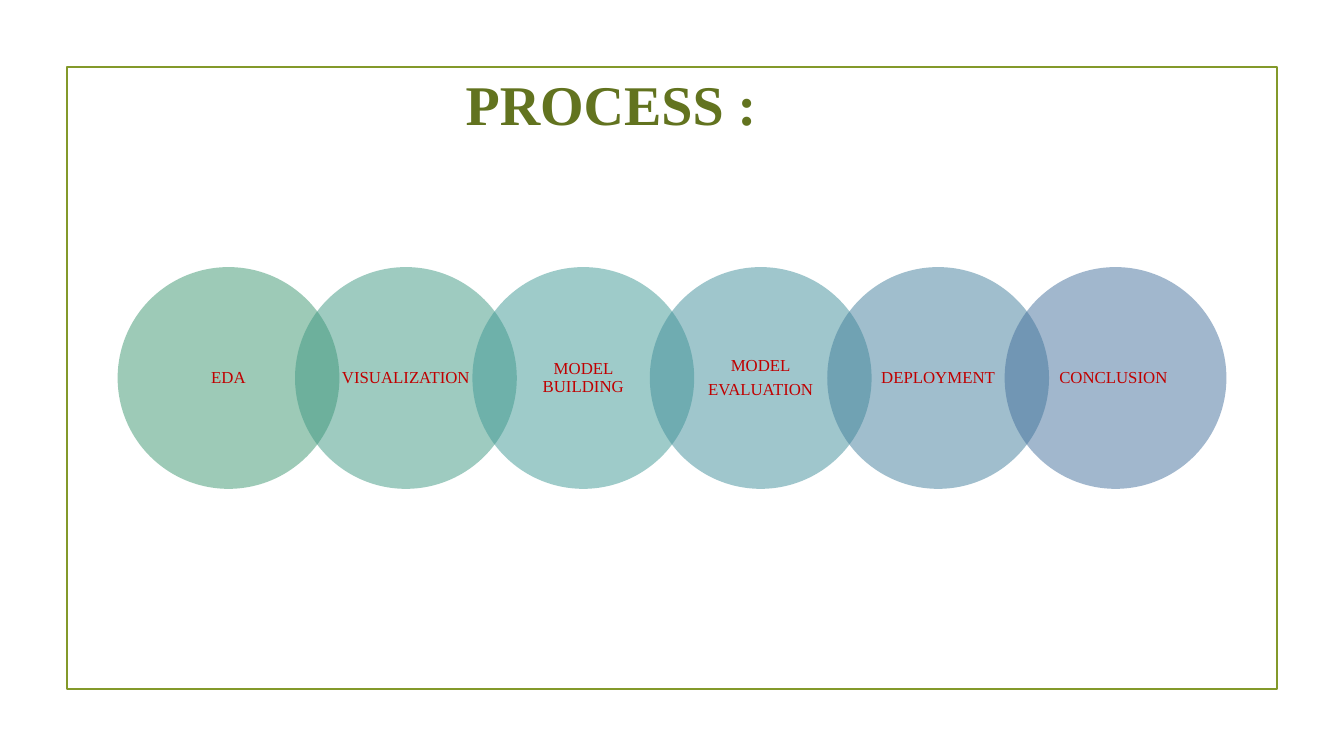
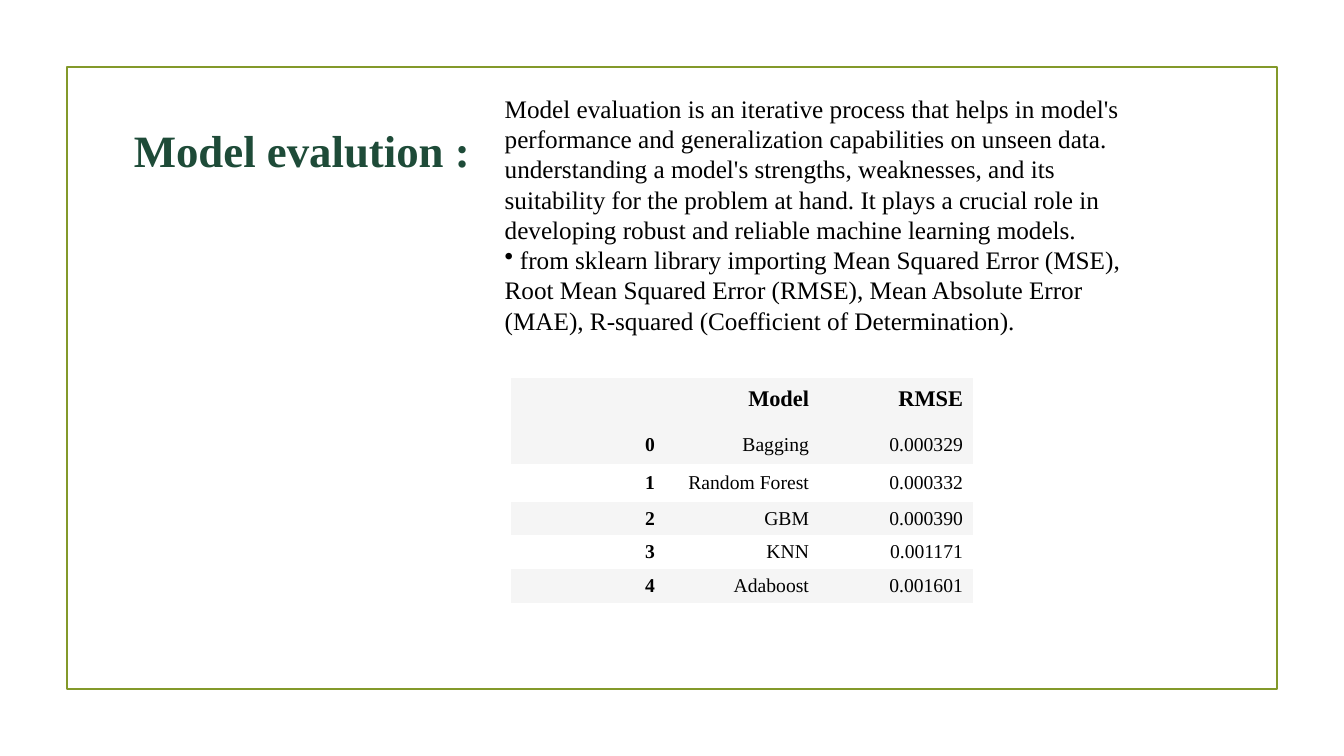
from pptx import Presentation
from pptx import util as u
from pptx.dml.color import RGBColor
from pptx.enum import shapes, text
from pptx.oxml.ns import qn
from lxml import etree

SLIDE_WIDTH, SLIDE_HEIGHT = u.Inches(13.33), u.Inches(7.5)
COLUMNS, ROWS = 160, 90
FONT = "Times New Roman"
BLANK_LAYOUT = 6
PLAIN_TABLE_STYLE = "{2D5ABB26-0587-4C30-8999-92F81FD0307C}"

WHITE = RGBColor(0xFF, 0xFF, 0xFF)
BLACK = RGBColor(0x00, 0x00, 0x00)
FRAME_GREEN = RGBColor(0x83, 0x99, 0x2A)
OLIVE = RGBColor(0x62, 0x73, 0x1F)
FOREST = RGBColor(0x1E, 0x4B, 0x38)
LABEL_RED = RGBColor(0xC0, 0x00, 0x00)
BAND_GREY = RGBColor(0xF5, 0xF5, 0xF5)

STEPS = [
    ("EDA", RGBColor(0x3C, 0x97, 0x70)),
    ("VISUALIZATION", RGBColor(0x3E, 0x98, 0x82)),
    ("MODEL BUILDING", RGBColor(0x3F, 0x99, 0x95)),
    ("MODEL\nEVALUATION", RGBColor(0x41, 0x8F, 0x9B)),
    ("DEPLOYMENT", RGBColor(0x42, 0x7F, 0x9C)),
    ("CONCLUSION ", RGBColor(0x44, 0x70, 0x9D)),
]
EVALUATION_TEXT = (
    "Model evaluation is an iterative process that helps in model's performance "
    "and generalization capabilities on unseen data. understanding a model's "
    "strengths, weaknesses, and its suitability for the problem at hand. It plays "
    "a crucial role in developing robust and reliable machine learning models.\n"
    " from sklearn library importing Mean Squared Error (MSE), Root Mean Squared "
    "Error (RMSE), Mean Absolute Error (MAE), R-squared (Coefficient of "
    "Determination)."
)
SCORES = [
    ("0", "Model\nBagging", "RMSE\n0.000329"),
    ("1", "Random Forest", "0.000332"),
    ("2", "GBM", "0.000390"),
    ("3", "KNN", "0.001171"),
    ("4", "Adaboost", "0.001601"),
]
SCORE_ROW_HEIGHTS = [10, 4.5, 4, 4, 4]


def across(columns):
    return round(SLIDE_WIDTH * columns / COLUMNS)


def down(rows):
    return round(SLIDE_HEIGHT * rows / ROWS)


def place(left, top, width, height):
    """Turn grid columns and rows into a position and a size."""
    return across(left), down(top), across(width), down(height)


def write(frame, words, size, color, bold=False, align=None):
    frame.text = words
    for paragraph in frame.paragraphs:
        paragraph.alignment = align
        for span in paragraph.runs:
            span.font.name = FONT
            span.font.size = u.Pt(size)
            span.font.bold = bold
            span.font.color.rgb = color


def add_text(page, area, words, size, color, bold=False):
    box = page.shapes.add_textbox(*place(*area))
    box.text_frame.word_wrap = True
    write(box.text_frame, words, size, color, bold)
    return box.text_frame


def add_page(deck):
    """Add a white slide with the shared green frame."""
    page = deck.slides.add_slide(deck.slide_layouts[BLANK_LAYOUT])
    page.background.fill.solid()
    page.background.fill.fore_color.rgb = WHITE
    border = page.shapes.add_shape(
        shapes.MSO_SHAPE.RECTANGLE, *place(8, 8, COLUMNS - 16, 74))
    border.shadow.inherit = False
    border.fill.background()
    border.line.color.rgb = FRAME_GREEN
    border.line.width = u.Pt(1.25)
    return page


def add_title(page, area, words, size, color):
    add_text(page, area, words, size, color, bold=True)


def add_circle(page, left, top, diameter, label, color):
    """Add a half-transparent circle with a centred label."""
    circle = page.shapes.add_shape(
        shapes.MSO_SHAPE.OVAL, *place(left, top, diameter, diameter))
    circle.shadow.inherit = False
    circle.line.fill.background()
    circle.fill.solid()
    circle.fill.fore_color.rgb = color
    fill_color = circle.element.spPr.find(qn("a:solidFill"))[0]
    etree.SubElement(fill_color, qn("a:alpha")).set("val", "50000")

    frame = circle.text_frame
    frame.word_wrap = True
    frame.vertical_anchor = text.MSO_ANCHOR.MIDDLE
    frame.margin_left = frame.margin_right = u.Inches(0.12)
    frame.margin_top = frame.margin_bottom = u.Inches(0.02)
    write(frame, label, 12, LABEL_RED, align=text.PP_ALIGN.CENTER)
    for paragraph in frame.paragraphs:
        paragraph.line_spacing = 0.9
        paragraph.space_after = u.Pt(4.2)


def add_circle_chain(page, steps, diameter=26.4, pitch=21.12):
    """Centre a row of overlapping circles on the slide."""
    left = (COLUMNS - diameter - pitch * (len(steps) - 1)) / 2
    top = (ROWS - diameter) / 2
    for index, (label, color) in enumerate(steps):
        add_circle(page, left + index * pitch, top, diameter, label, color)


def add_bullet(paragraph):
    properties = paragraph._p.get_or_add_pPr()
    etree.SubElement(properties, qn("a:buChar")).set("char", "•")


def style_heading(cell):
    """Set the first of a cell's two lines apart as a column heading."""
    heading, value = cell.text_frame.paragraphs
    heading.runs[0].font.size = u.Pt(16)
    heading.runs[0].font.bold = True
    value.space_before = u.Pt(16)


def add_score_table(page, area, rows, heights):
    frame = page.shapes.add_table(len(rows), len(rows[0]), *place(*area))
    frame.element.xpath(".//a:tableStyleId")[0].text = PLAIN_TABLE_STYLE
    table = frame.table
    for row_index, (values, height) in enumerate(zip(rows, heights)):
        table.rows[row_index].height = down(height)
        for column_index, value in enumerate(values):
            cell = table.cell(row_index, column_index)
            cell.fill.solid()
            cell.fill.fore_color.rgb = WHITE if row_index % 2 else BAND_GREY
            cell.vertical_anchor = text.MSO_ANCHOR.MIDDLE
            write(cell.text_frame, value, 14, BLACK,
                  bold=column_index == 0, align=text.PP_ALIGN.RIGHT)
            if row_index == 0:
                cell.vertical_anchor = text.MSO_ANCHOR.BOTTOM
                cell.margin_bottom = u.Inches(0.08)
                if column_index > 0:
                    style_heading(cell)


def build_process(deck):
    page = add_page(deck)
    add_title(page, (54.25, 7.7, 40.7, 9.25), "PROCESS :", 40, OLIVE)
    add_circle_chain(page, STEPS)


def build_evaluation(deck):
    page = add_page(deck)
    add_title(page, (14.75, 14, 42.6, 7.7), "Model evalution :", 32, FOREST)
    body = add_text(page, (58.9, 10.5, 80.3, 30.25), EVALUATION_TEXT, 18, BLACK)
    add_bullet(body.paragraphs[-1])
    add_score_table(page, (60.85, 45, 55, sum(SCORE_ROW_HEIGHTS)),
                    SCORES, SCORE_ROW_HEIGHTS)


def main():
    deck = Presentation()
    deck.slide_width, deck.slide_height = SLIDE_WIDTH, SLIDE_HEIGHT
    build_process(deck)
    build_evaluation(deck)
    deck.save("out.pptx")


if __name__ == "__main__":
    main()
